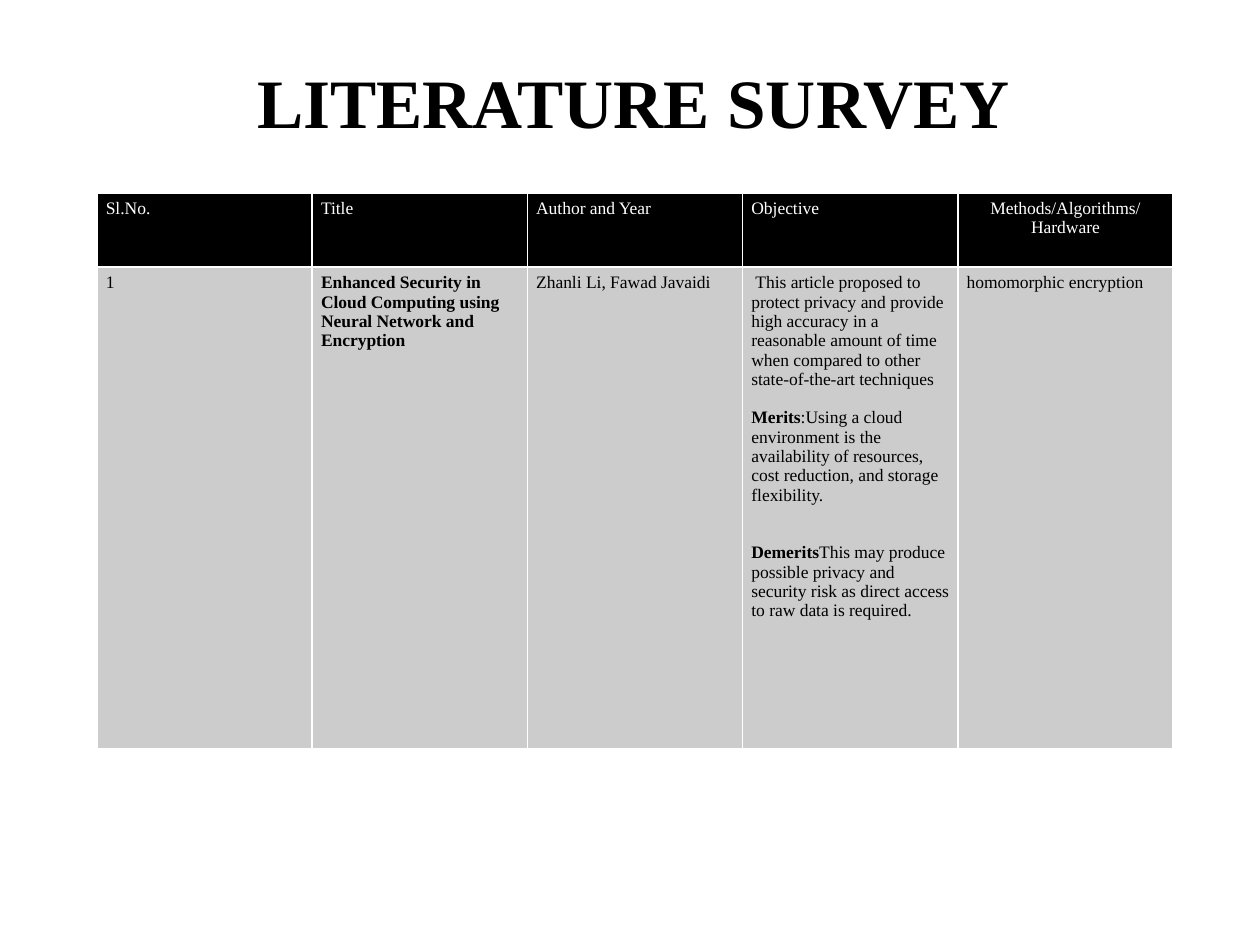
import pptx
import pptx.dml.color
import pptx.enum.text
import pptx.oxml
import pptx.oxml.ns
import pptx.util

WIDTH, HEIGHT = 10, 7.5
FONT = "Times New Roman"
COLORS = {"ink": "000000", "paper": "FFFFFF", "body": "CCCCCC"}
TEXT_SIZE = 10
LINE_HEIGHT = 11
LEFT = pptx.enum.text.PP_ALIGN.LEFT
CENTER = pptx.enum.text.PP_ALIGN.CENTER

# A cell is a list of paragraphs: (lines of space before, [(text, bold), ...]).
HEADINGS = ["Sl.No.", "Title", "Author and Year", "Objective", "Methods/Algorithms/Hardware"]
SURVEY = [
    [(0, [("1", False)])],
    [(0, [("Enhanced Security in Cloud Computing using Neural Network and Encryption", True)])],
    [(0, [("Zhanli Li, Fawad Javaidi", False)])],
    [
        (0, [(" This article proposed to protect privacy and provide high accuracy in a reasonable "
              "amount of time when compared to other state-of-the-art techniques", False)]),
        (1, [("Merits", True),
             (":Using a cloud environment is the availability of resources, cost reduction, "
              "and storage flexibility.", False)]),
        (2, [("Demerits", True),
             ("This may produce possible privacy and security risk as direct access to raw data "
              "is required.", False)]),
    ],
    [(0, [("homomorphic encryption", False)])],
]


def rgb(name):
    return pptx.dml.color.RGBColor.from_string(COLORS[name])


def share_box(left, top, width, height):
    """Turn shares of the slide's size into lengths."""
    return [pptx.util.Inches(share * size)
            for share, size in zip((left, top, width, height), (WIDTH, HEIGHT) * 2)]


def style_paragraph(paragraph, size, color, alignment):
    paragraph.alignment = alignment
    paragraph.font.name = FONT
    paragraph.font.size = pptx.util.Pt(size)
    paragraph.font.color.rgb = rgb(color)


def add_title(slide, text):
    title = slide.shapes.add_textbox(*share_box(0.069, 0.053, 0.868, 0.108))
    frame = title.text_frame
    frame.word_wrap = True
    frame.vertical_anchor = pptx.enum.text.MSO_ANCHOR.MIDDLE
    paragraph = frame.paragraphs[0]
    paragraph.text = text
    style_paragraph(paragraph, 39.6, "ink", CENTER)
    paragraph.font.bold = True


def add_borders(cell, color, points):
    properties = cell._tc.get_or_add_tcPr()
    for position, side in enumerate(("lnL", "lnR", "lnT", "lnB")):
        border = pptx.oxml.parse_xml(
            f'<a:{side} {pptx.oxml.ns.nsdecls("a")} w="{pptx.util.Pt(points)}">'
            f'<a:solidFill><a:srgbClr val="{COLORS[color]}"/></a:solidFill></a:{side}>')
        properties.insert(position, border)


def fill_cell(cell, paragraphs, fill, color, alignment=LEFT):
    cell.fill.solid()
    cell.fill.fore_color.rgb = rgb(fill)
    cell.margin_left = cell.margin_right = pptx.util.Inches(0.07)
    cell.margin_top = cell.margin_bottom = pptx.util.Inches(0.05)
    add_borders(cell, "paper", 1)
    frame = cell.text_frame
    for index, (lines_before, runs) in enumerate(paragraphs):
        paragraph = frame.add_paragraph() if index else frame.paragraphs[0]
        style_paragraph(paragraph, TEXT_SIZE, color, alignment)
        paragraph.space_before = pptx.util.Pt(lines_before * LINE_HEIGHT)
        for text, bold in runs:
            run = paragraph.add_run()
            run.text = text
            run.font.bold = bold


def add_survey_table(slide):
    box = share_box(0.077, 0.204, 0.854, 0.588)
    table = slide.shapes.add_table(2, len(HEADINGS), *box).table
    for row, height in zip(table.rows, (0.59, 3.82)):
        row.height = pptx.util.Inches(height)
    last = len(HEADINGS) - 1
    for column, (heading, entry) in enumerate(zip(HEADINGS, SURVEY)):
        fill_cell(table.cell(0, column), [(0, [(heading, False)])], "ink", "paper",
                  CENTER if column == last else LEFT)
        fill_cell(table.cell(1, column), entry, "body", "ink")


def main():
    presentation = pptx.Presentation()
    presentation.slide_width = pptx.util.Inches(WIDTH)
    presentation.slide_height = pptx.util.Inches(HEIGHT)
    slide = presentation.slides.add_slide(presentation.slide_layouts[6])
    add_title(slide, "LITERATURE SURVEY")
    add_survey_table(slide)
    presentation.save("out.pptx")


if __name__ == "__main__":
    main()
